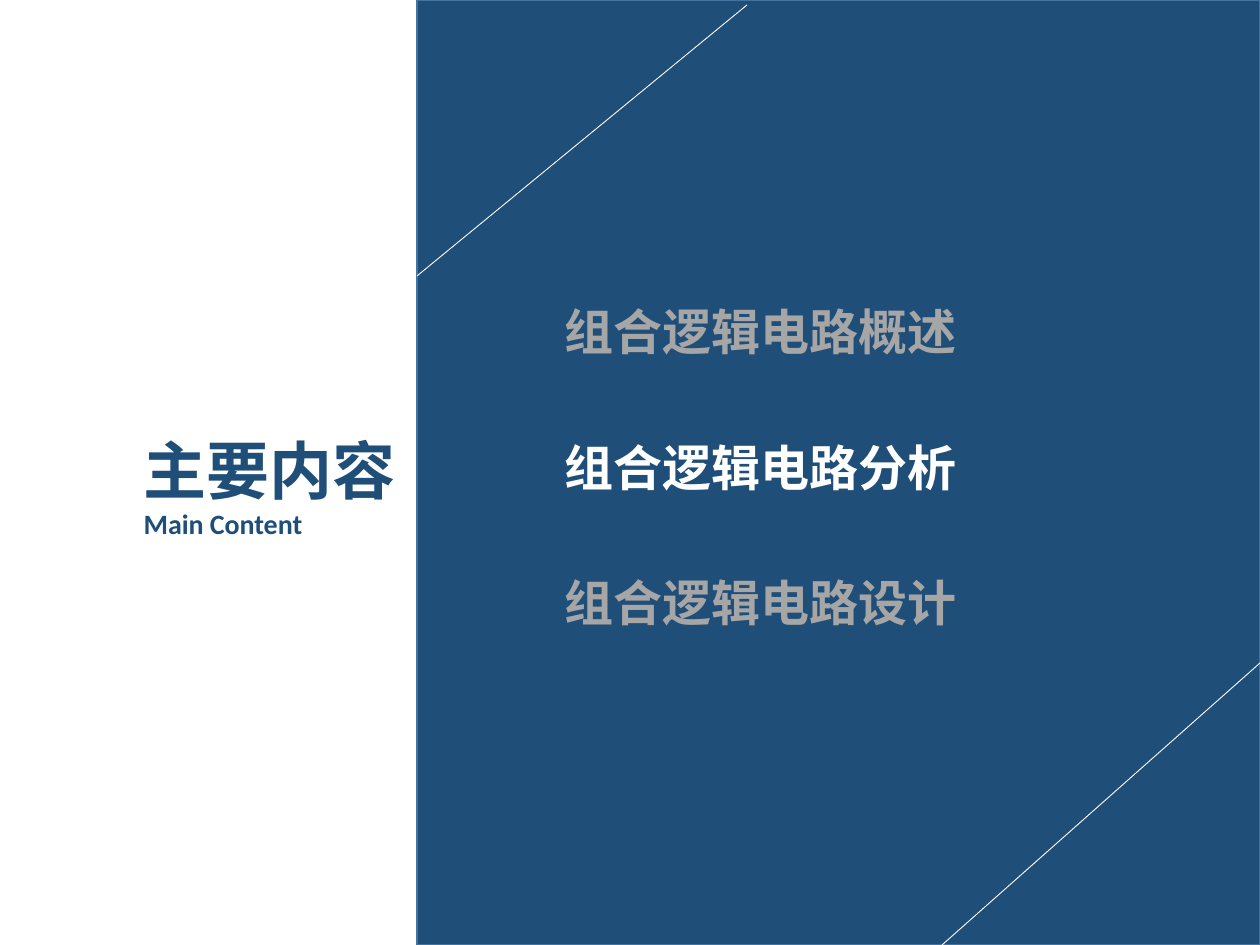
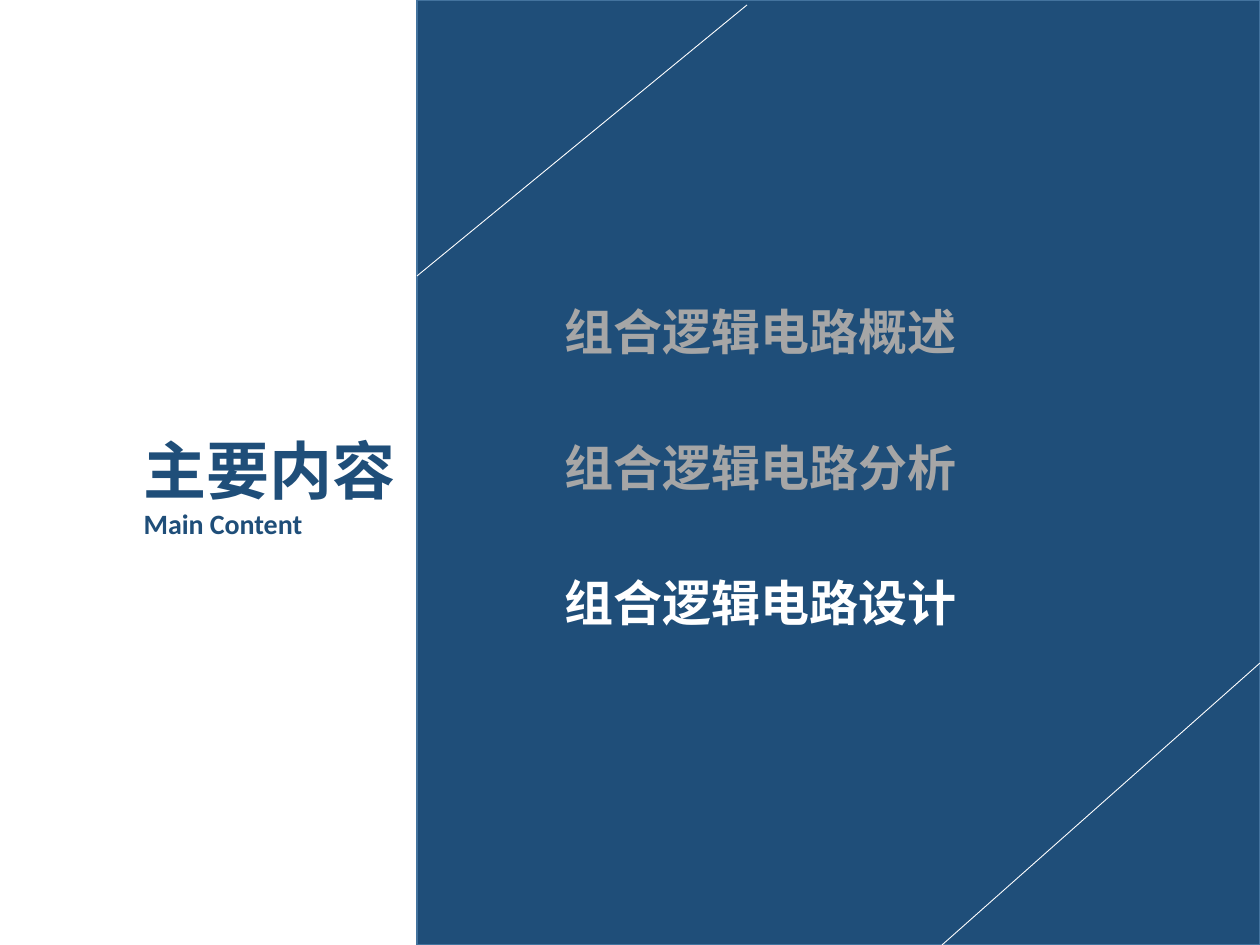
"""Builds the two agenda slides, each highlighting one section."""
import dataclasses

import lxml.etree
import pptx
import pptx.dml.color
import pptx.enum.shapes
import pptx.enum.text
import pptx.oxml.ns
import pptx.util

PX_PER_INCH = 126
SLIDE_WIDTH, SLIDE_HEIGHT = 1260, 945
PANEL_LEFT = 417
SECTIONS = ["组合逻辑电路概述", "组合逻辑电路分析", "组合逻辑电路设计"]
DIAGONALS = [(747, 5, PANEL_LEFT, 276), (SLIDE_WIDTH, 663, 942, SLIDE_HEIGHT)]


@dataclasses.dataclass(frozen=True)
class Theme:
    """Colours, fonts and point sizes shared by the slides."""
    navy: str = "1F4E79"
    panel_edge: str = "43739E"
    white: str = "FFFFFF"
    muted: str = "A6A6A6"
    chinese_font: str = "Noto Sans CJK SC"
    latin_font: str = "Calibri"
    title_size: int = 36
    subtitle_size: int = 16
    section_size: int = 28
    section_gap: int = 44


THEME = Theme()


def px(length):
    """Convert pixels to EMU."""
    return pptx.util.Emu(round(length * 914400 / PX_PER_INCH))


def rgb(color):
    """Convert a hex string to a colour."""
    return pptx.dml.color.RGBColor.from_string(color)


def add_child(parent, tag, **attributes):
    """Append a DrawingML element to a parent element."""
    return lxml.etree.SubElement(parent, pptx.oxml.ns.qn(tag), **attributes)


def format_run(run, size, color, font):
    """Make a run bold in the given size, colour and font."""
    run.font.size = pptx.util.Pt(size)
    run.font.bold = True
    run.font.color.rgb = rgb(color)
    run.font.name = font
    add_child(run.font._element, "a:ea", typeface=font)


def place_text(placeholder, left, top, width, height):
    """Move a placeholder and anchor its text at the top."""
    placeholder.left, placeholder.top = px(left), px(top)
    placeholder.width, placeholder.height = px(width), px(height)
    text_frame = placeholder.text_frame
    text_frame.word_wrap = True
    text_frame.auto_size = pptx.enum.text.MSO_AUTO_SIZE.NONE
    text_frame.vertical_anchor = pptx.enum.text.MSO_ANCHOR.TOP
    return text_frame


def fill_title(slide):
    """Write the Chinese title with its English line below."""
    text_frame = place_text(slide.shapes.title, 131, 425, 286, 123)
    text_frame.text = "主要内容\vMain Content"
    paragraph = text_frame.paragraphs[0]
    paragraph.alignment = pptx.enum.text.PP_ALIGN.LEFT
    line_break = paragraph._p.find(pptx.oxml.ns.qn("a:br"))
    add_child(line_break, "a:rPr", sz=str(THEME.title_size * 100))
    title, subtitle = paragraph.runs
    format_run(title, THEME.title_size, THEME.navy, THEME.chinese_font)
    format_run(subtitle, THEME.subtitle_size, THEME.navy, THEME.latin_font)


def fill_sections(slide, current):
    """List the sections, with the current one in white."""
    text_frame = place_text(slide.placeholders[1], 552, 295, 674, 366)
    text_frame.text = "\n".join(SECTIONS)
    for index, paragraph in enumerate(text_frame.paragraphs):
        properties = paragraph._p.get_or_add_pPr()
        properties.set("marL", "0")
        properties.set("indent", "0")
        add_child(properties, "a:buNone")
        paragraph.space_before = pptx.util.Pt(THEME.section_gap if index else 0)
        color = THEME.white if index == current else THEME.muted
        format_run(paragraph.runs[0], THEME.section_size, color, THEME.chinese_font)


def add_panel(slide):
    """Draw the navy panel behind the section list."""
    panel = slide.shapes.add_shape(
        pptx.enum.shapes.MSO_SHAPE.RECTANGLE,
        px(PANEL_LEFT), 0, px(SLIDE_WIDTH - PANEL_LEFT), px(SLIDE_HEIGHT))
    panel.shadow.inherit = False
    panel.fill.solid()
    panel.fill.fore_color.rgb = rgb(THEME.navy)
    panel.line.color.rgb = rgb(THEME.panel_edge)
    panel.line.width = pptx.util.Pt(1)
    slide.shapes.title._element.addprevious(panel._element)


def add_diagonal(slide, begin_x, begin_y, end_x, end_y):
    """Draw a thin white line across a panel corner."""
    line = slide.shapes.add_connector(
        pptx.enum.shapes.MSO_CONNECTOR.STRAIGHT,
        px(begin_x), px(begin_y), px(end_x), px(end_y))
    line.line.color.rgb = rgb(THEME.white)
    line.line.width = pptx.util.Pt(0.5)
    add_child(line._element.spPr, "a:effectLst")


def add_agenda_slide(presentation, current):
    """Add an agenda slide that highlights one section."""
    slide = presentation.slides.add_slide(presentation.slide_layouts[1])
    add_panel(slide)
    fill_title(slide)
    fill_sections(slide, current)
    for diagonal in DIAGONALS:
        add_diagonal(slide, *diagonal)


def main():
    """Build and save the presentation."""
    presentation = pptx.Presentation()
    presentation.slide_width = px(SLIDE_WIDTH)
    presentation.slide_height = px(SLIDE_HEIGHT)
    for current in (1, 2):
        add_agenda_slide(presentation, current)
    presentation.save("out.pptx")


if __name__ == "__main__":
    main()
